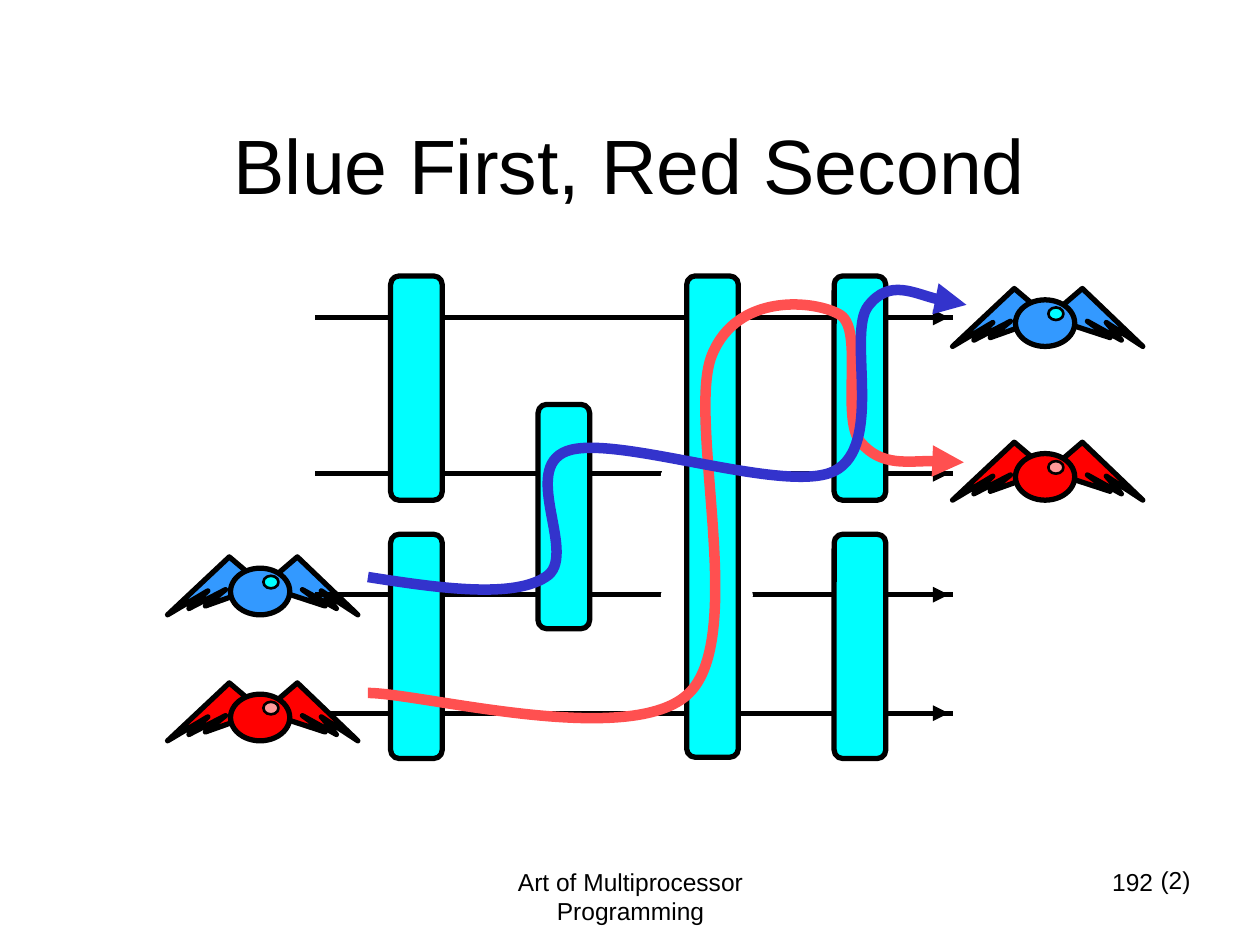
from typing import NamedTuple

from pptx import Presentation
from pptx.dml.color import RGBColor
from pptx.enum.shapes import MSO_CONNECTOR as Conn, MSO_SHAPE as Kind
from pptx.enum.text import MSO_ANCHOR as Anchor, MSO_AUTO_SIZE as Auto, PP_ALIGN as Align
from pptx.oxml.ns import qn
from pptx.util import Inches, Pt

BLACK = RGBColor(0, 0, 0)
WHITE = RGBColor(255, 255, 255)
CYAN = RGBColor(0, 255, 255)
SKY = RGBColor(0x33, 0x99, 0xFF)
RED = RGBColor(255, 0, 0)
PINK = RGBColor(0xFF, 0x99, 0x99)
CORAL = RGBColor(0xFF, 0x50, 0x50)
BLUE = RGBColor(0x33, 0x33, 0xCC)

Point = tuple[float, float]


class Label(NamedTuple):
    text: str
    box: tuple[float, float, float, float]
    size: int
    align: Align
    anchor: Anchor = Anchor.TOP
    grow: bool = False


class Bird(NamedTuple):
    left: float
    top: float
    skin: RGBColor
    eye: RGBColor


class Bar(NamedTuple):
    left: float
    top: float
    height: float = 1.78


class Route(NamedTuple):
    color: RGBColor
    points: list[Point]  # start, then three points for each curve


LABELS = [
    Label("Art of Multiprocessor Programming", (3.42, 6.83, 3.17, 0.5), 14, Align.CENTER),
    Label("192", (7.17, 6.83, 2.08, 0.5), 14, Align.RIGHT),
    Label("Blue First, Red Second", (0.75, 0.67, 8.5, 1.25), 44, Align.CENTER, Anchor.MIDDLE),
    Label("(2)", (8.93, 6.82, 0.8, 0.33), 14, Align.CENTER, grow=True),
]
WIRES = [2.52, 3.76, 4.72, 5.66]
SPAN = 4.99
BIRDS = [
    Bird(1.33, 4.42, SKY, CYAN),
    Bird(1.33, 5.42, RED, PINK),
    Bird(7.56, 2.29, SKY, CYAN),
    Bird(7.56, 3.51, RED, PINK),
]
# Wing outlines, measured from the bird's top left corner
WINGS: list[list[Point]] = [
    [(0.82, 0.18), (1.03, 0), (1.51, 0.46), (1.22, 0.27), (1.34, 0.41),
     (1.07, 0.26), (1.25, 0.39), (0.76, 0.23)],
    [(0.69, 0.17), (0.49, 0), (0, 0.46), (0.32, 0.27), (0.17, 0.41),
     (0.46, 0.26), (0.3, 0.39), (0.75, 0.23)],
]
BARS = [Bar(3.1, 4.24), Bar(3.1, 2.19), Bar(4.27, 3.21), Bar(6.62, 4.24), Bar(6.62, 2.19)]
LONG = Bar(5.45, 2.19, 3.82)
ROUTES = [
    Route(CORAL, [(2.92, 5.5), (3.34, 5.5), (5.02, 5.95), (5.47, 5.5),
                  (5.93, 5.05), (5.45, 3.32), (5.65, 2.82),
                  (5.85, 2.32), (6.47, 2.38), (6.67, 2.5),
                  (6.86, 2.62), (6.67, 3.32), (6.83, 3.51),
                  (7, 3.71), (7.48, 3.64), (7.65, 3.67)]),
    Route(BLUE, [(2.92, 4.58), (3.49, 4.67), (4.07, 4.75), (4.33, 4.58),
                 (4.6, 4.42), (4.12, 3.72), (4.5, 3.58),
                 (4.88, 3.44), (6.23, 3.93), (6.62, 3.74),
                 (7.02, 3.54), (6.72, 2.65), (6.89, 2.43),
                 (7.06, 2.21), (7.51, 2.42), (7.67, 2.42)]),
]


def stroke(line, color: RGBColor, width: float, arrow: bool = False) -> None:
    line.color.rgb = color
    line.width = Pt(width)
    if arrow:
        ln = line.fill._xPr
        ln.append(ln.makeelement(qn("a:tailEnd"), {"type": "triangle"}))


def paint(shape, fill: RGBColor, edge: RGBColor = BLACK, width: float = 3) -> None:
    shape.shadow.inherit = False
    shape.fill.solid()
    shape.fill.fore_color.rgb = fill
    stroke(shape.line, edge, width)


def outline(shapes, points: list[Point], close: bool):
    first, *rest = [(Inches(x), Inches(y)) for x, y in points]
    pen = shapes.build_freeform(*first)
    pen.add_line_segments(rest, close=close)
    return pen.convert_to_shape()


def oval(shapes, left: float, top: float, wide: float, high: float):
    return shapes.add_shape(Kind.OVAL, Inches(left), Inches(top), Inches(wide), Inches(high))


def write(shapes, label: Label) -> None:
    box = shapes.add_textbox(*map(Inches, label.box))
    frame = box.text_frame
    frame.word_wrap = True
    frame.vertical_anchor = label.anchor
    if label.grow:
        frame.auto_size = Auto.SHAPE_TO_FIT_TEXT
    para = frame.paragraphs[0]
    para.alignment = label.align
    run = para.add_run()
    run.text = label.text
    run.font.name = "Arial"
    run.font.size = Pt(label.size)
    run.font.color.rgb = BLACK


def wire(shapes, left: float, y: float, arrow: bool = False) -> None:
    line = shapes.add_connector(
        Conn.STRAIGHT, Inches(left), Inches(y), Inches(left + SPAN), Inches(y))
    stroke(line.line, BLACK, 3, arrow)
    props = line.element.spPr
    props.append(props.makeelement(qn("a:effectLst"), {}))


def gap(shapes, left: float, top: float) -> None:
    paint(oval(shapes, left, top, 0.72, 0.29), WHITE, WHITE, 0.75)


def perch(shapes, bird: Bird) -> None:
    parts = shapes.add_group_shape().shapes
    x, y = bird.left, bird.top
    for wing in WINGS:
        paint(outline(parts, [(x + dx, y + dy) for dx, dy in wing], True), bird.skin)
    paint(oval(parts, x + 0.5, y + 0.09, 0.47, 0.37), bird.skin)
    paint(oval(parts, x + 0.76, y + 0.15, 0.12, 0.1), bird.eye, width=1.5)


def block(shapes, bar: Bar) -> None:
    shape = shapes.add_shape(Kind.ROUNDED_RECTANGLE, Inches(bar.left), Inches(bar.top),
                             Inches(0.41), Inches(bar.height))
    shape.adjustments[0] = 0.167
    paint(shape, CYAN)


def trace(shapes, route: Route) -> None:
    shape = outline(shapes, route.points, False)
    shape.shadow.inherit = False
    shape.fill.background()
    stroke(shape.line, route.color, 6, True)
    # Join each three straight steps into one Bezier curve
    steps = shape.element.xpath(".//a:lnTo")
    for i in range(0, len(steps), 3):
        curve = steps[i].makeelement(qn("a:cubicBezTo"), {})
        steps[i].addprevious(curve)
        for step in steps[i:i + 3]:
            curve.append(step[0])
            step.getparent().remove(step)


def main() -> None:
    deck = Presentation()
    deck.slide_width, deck.slide_height = Inches(10), Inches(7.5)
    shapes = deck.slides.add_slide(deck.slide_layouts[6]).shapes

    # Title and footer
    for label in LABELS:
        write(shapes, label)

    # Wires, with an arrow just short of the end
    wire(shapes, 2.5, WIRES[0])
    for y in WIRES:
        wire(shapes, 2.54, y, True)
        wire(shapes, 2.57, y)
    for top in (3.41, 4.6):
        gap(shapes, 5.28, top)

    # Birds
    for bird in BIRDS:
        perch(shapes, bird)

    # Balancers, with the inner wires broken behind the long one
    for y in WIRES[1:3]:
        wire(shapes, 2.5, y)
    for bar in BARS:
        block(shapes, bar)
    for top in (3.63, 4.58):
        gap(shapes, 5.25, top)
    block(shapes, LONG)

    # Routes
    for route in ROUTES:
        trace(shapes, route)

    deck.save("out.pptx")


if __name__ == "__main__":
    main()
